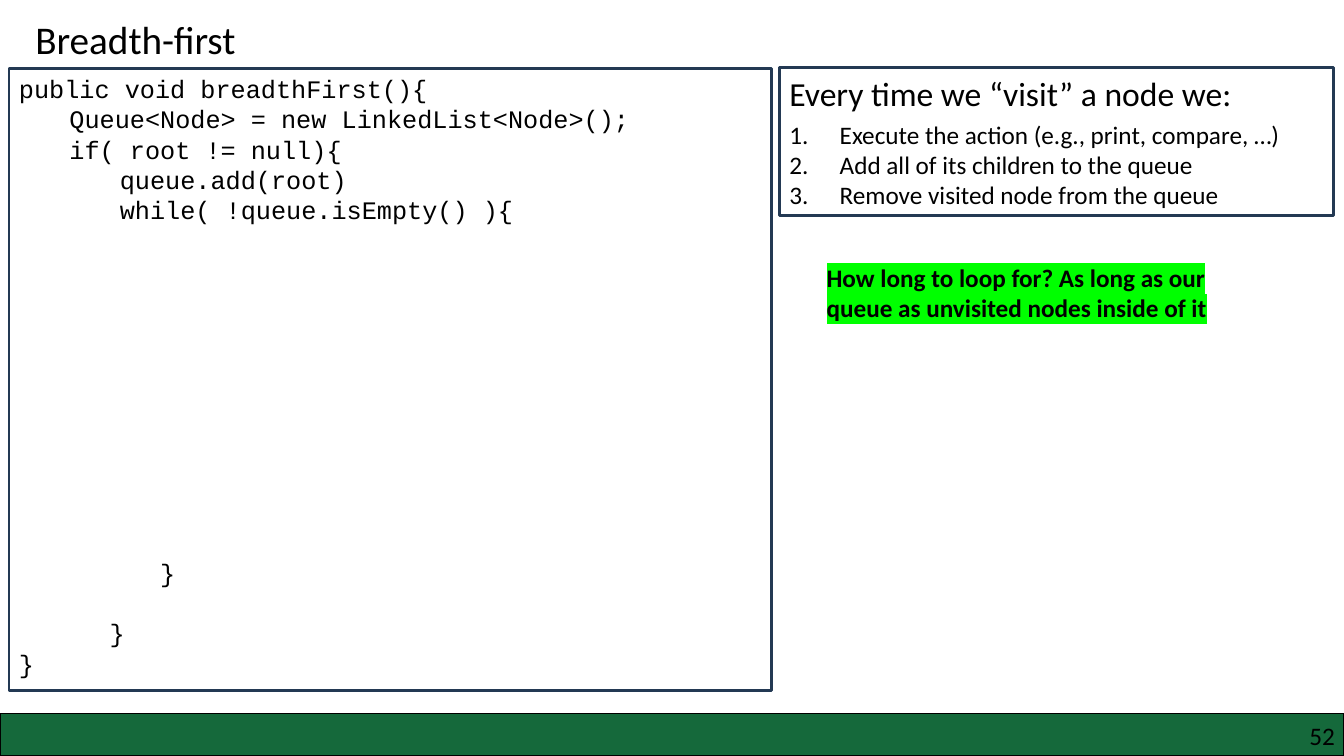
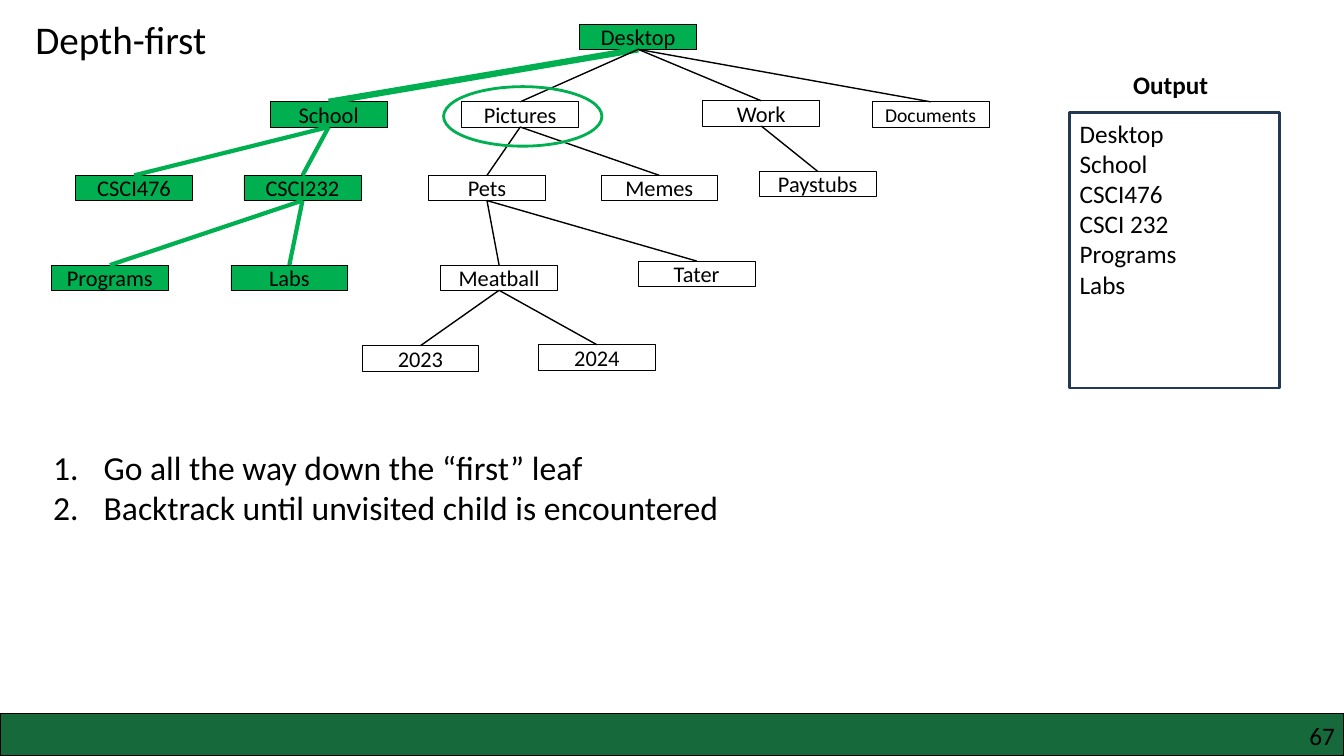
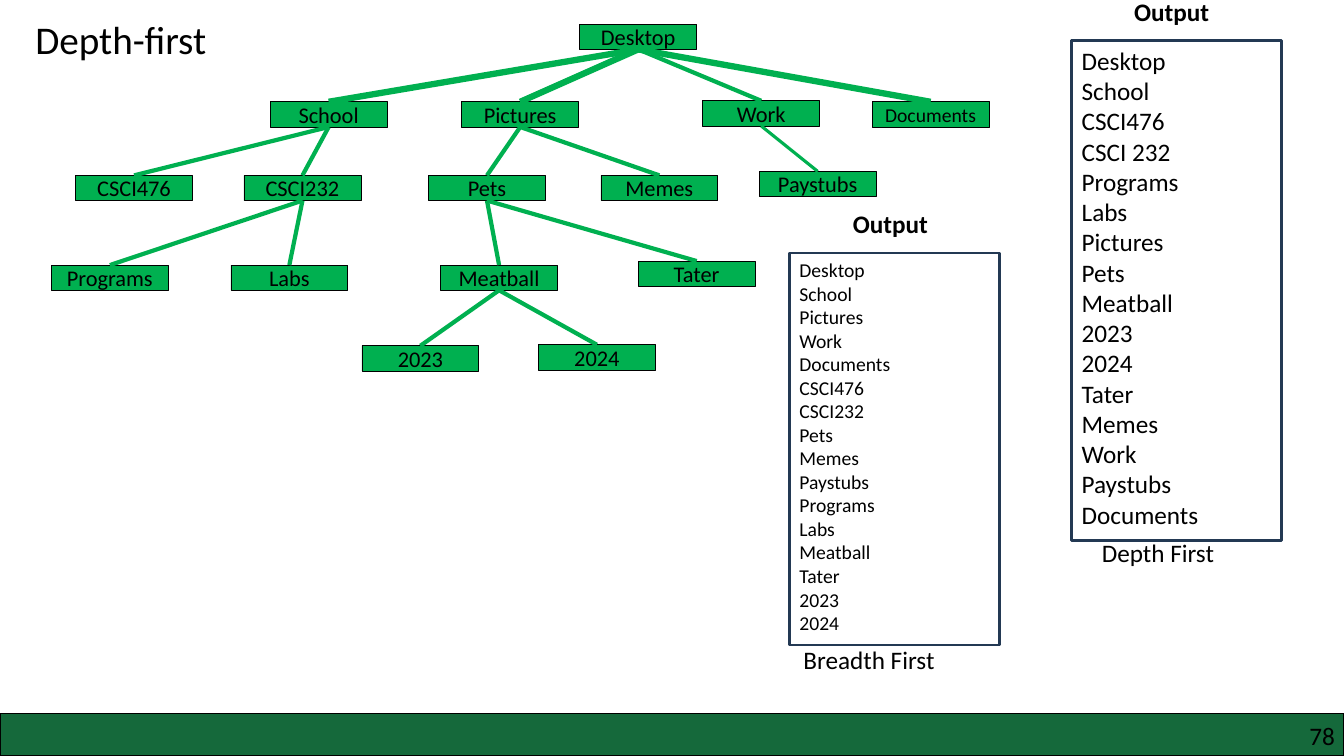
from dataclasses import dataclass

from lxml.etree import SubElement
from pptx import Presentation
from pptx.dml.color import RGBColor
from pptx.enum.shapes import MSO_CONNECTOR as Connector, MSO_SHAPE as Shape
from pptx.enum.text import MSO_ANCHOR as Anchor, MSO_AUTO_SIZE as AutoSize, PP_ALIGN as Align
from pptx.oxml.ns import qn
from pptx.util import Emu, Pt

EMU_PER_PX = 9144  # 100 px to the inch
SLIDE_WIDTH, SLIDE_HEIGHT = 1333, 750
TITLE_ONLY = 5


@dataclass(frozen=True)
class Theme:
    black: str = "000000"
    white: str = "FFFFFF"
    band: str = "15693B"
    visited: str = "00B050"
    frame: str = "233953"
    highlight: str = "00FF00"
    text_font: str = "Calibri"
    code_font: str = "Courier New"
    title: int = 28
    heading: int = 24
    body: int = 18
    node: int = 16
    small: int = 14
    line_height: float = 1.2


def px(length):
    return Emu(length * EMU_PER_PX)


def rgb(value):
    return RGBColor.from_string(value)


class Deck:
    """Holds the theme and the slide being built."""

    def __init__(self, theme):
        self.theme = theme
        self.presentation = Presentation()
        self.presentation.slide_width = px(SLIDE_WIDTH)
        self.presentation.slide_height = px(SLIDE_HEIGHT)
        self.slide = None

    # Slide frame: title, footer band and page number
    def new_slide(self, title, number):
        layout = self.presentation.slide_layouts[TITLE_ONLY]
        self.slide = self.presentation.slides.add_slide(layout)
        placeholder = self.slide.shapes.title
        placeholder.left, placeholder.top = px(25), px(10)
        placeholder.width, placeholder.height = px(234), px(57)
        self.fill_text(placeholder, [title], self.theme.title)
        self.shape(Shape.RECTANGLE, (0, 708, SLIDE_WIDTH, 42),
                   self.theme.band, self.theme.black, 1)
        self.text((1017, 715, 307, 30), [str(number)], align=Align.RIGHT, margin=0)

    # Text, run by run
    def fill_text(self, shape, lines, size, font=None, align=Align.LEFT,
                  anchor=Anchor.TOP, bold=False, highlight=None, numbered=False,
                  margin=None):
        frame = shape.text_frame
        frame.word_wrap = True
        frame.auto_size = AutoSize.NONE
        frame.vertical_anchor = anchor
        if margin is not None:
            frame.margin_left = frame.margin_right = px(margin)
            frame.margin_top = frame.margin_bottom = px(margin)
        line_height = size * self.theme.line_height
        paragraph, skipped = None, 0
        for line in lines:
            if not line:
                skipped += 1
                continue
            paragraph = frame.paragraphs[0] if paragraph is None else frame.add_paragraph()
            paragraph.alignment = align
            paragraph.line_spacing = Pt(line_height)
            if skipped:
                paragraph.space_before = Pt(skipped * line_height)
                skipped = 0
            if numbered:
                self.number(paragraph)
            run = paragraph.add_run()
            run.text = line
            run.font.size = Pt(size)
            run.font.bold = bold
            run.font.color.rgb = rgb(self.theme.black)
            if highlight:
                mark = SubElement(run.font._element, qn("a:highlight"))
                SubElement(mark, qn("a:srgbClr"), val=highlight)
            run.font.name = font or self.theme.text_font

    def number(self, paragraph):
        properties = paragraph._p.get_or_add_pPr()
        properties.set("marL", str(px(50)))
        properties.set("indent", str(px(-50)))
        SubElement(properties, qn("a:buFont"), typeface="+mj-lt")
        SubElement(properties, qn("a:buAutoNum"), type="arabicPeriod")

    def text(self, box, lines, size=None, **style):
        shape = self.slide.shapes.add_textbox(*map(px, box))
        self.fill_text(shape, lines, size or self.theme.body, **style)

    # Shapes
    def shape(self, kind, box, fill, line, weight):
        shape = self.slide.shapes.add_shape(kind, *map(px, box))
        shape.shadow.inherit = False
        if fill:
            shape.fill.solid()
            shape.fill.fore_color.rgb = rgb(fill)
        else:
            shape.fill.background()
        shape.line.color.rgb = rgb(line)
        shape.line.width = Pt(weight)
        return shape

    def panel(self, box, lines=(), size=None, font=None):
        shape = self.shape(Shape.RECTANGLE, box, None, self.theme.frame, 2)
        self.fill_text(shape, lines, size or self.theme.body, font=font)

    def output(self, box, lines, label_at, size=None):
        self.panel(box, lines, size)
        self.text((*label_at, 103, 40), ["Output"], bold=True)

    # Tree: boxes first, then the edges glued to them
    def tree(self, nodes, visited):
        theme, boxes = self.theme, {}
        for name, (_, left, top, _) in nodes.items():
            fill = theme.visited if name in visited else theme.white
            box = self.shape(Shape.RECTANGLE, (left, top, 116, 25),
                             fill, theme.black, 0.5)
            size = theme.small if name == "Documents" else theme.node
            self.fill_text(box, [name], size, align=Align.CENTER, anchor=Anchor.MIDDLE)
            boxes[name] = box
        for name, (parent, _, _, weight) in nodes.items():
            if parent:
                self.edge(boxes[parent], boxes[name], name in visited, weight)

    def edge(self, parent, child, visited, weight):
        line = self.slide.shapes.add_connector(Connector.STRAIGHT, 0, 0, 0, 0)
        line.begin_connect(parent, 2)
        line.end_connect(child, 0)
        line.line.color.rgb = rgb(self.theme.visited if visited else self.theme.black)
        line.line.width = Pt(weight if visited else 1)
        SubElement(line._element.spPr, qn("a:effectLst"))


# Node: parent, left, top, weight of the edge once visited
NODES = {
    "Desktop": (None, 575, 24, 0),
    "School": ("Desktop", 268, 101, 4.5),
    "Pictures": ("Desktop", 458, 101, 4.5),
    "Work": ("Desktop", 697, 100, 3),
    "Documents": ("Desktop", 865, 101, 4.5),
    "CSCI476": ("School", 75, 174, 3),
    "CSCI232": ("School", 242, 174, 3),
    "Pets": ("Pictures", 425, 174, 3),
    "Memes": ("Pictures", 596, 174, 3),
    "Paystubs": ("Work", 753, 170, 2.25),
    "Programs": ("CSCI232", 51, 263, 3),
    "Labs": ("CSCI232", 229, 263, 3),
    "Meatball": ("Pets", 437, 263, 3),
    "Tater": ("Pets", 633, 259, 3),
    "2023": ("Meatball", 359, 343, 3),
    "2024": ("Meatball", 534, 342, 3),
}
FIRST_BRANCH = ["Desktop", "School", "CSCI476", "CSCI 232", "Programs", "Labs"]
DEPTH_ORDER = FIRST_BRANCH + ["Pictures", "Pets", "Meatball", "2023", "2024",
                              "Tater", "Memes", "Work", "Paystubs", "Documents"]
CODE = [
    "public void breadthFirst(){",
    "\tQueue<Node> = new LinkedList<Node>();",
    "\tif( root != null){",
    "\t\tqueue.add(root)",
    "\t\twhile( !queue.isEmpty() ){",
    *[""] * 11,
    "\t      }",
    "",
    "      }",
    "}",
]


def breadth_first_code(deck):
    theme = deck.theme
    deck.new_slide("Breadth-first", 52)
    deck.text((773, 67, 495, 50), ["Every time we “visit” a node we:"], theme.heading)
    deck.text((773, 113, 559, 101), [
        "Execute the action (e.g., print, compare, …)",
        "Add all of its children to the queue",
        "Remove visited node from the queue",
    ], numbered=True)
    deck.panel((773, 67, 550, 147))
    deck.panel((9, 68, 756, 617), CODE, font=theme.code_font)
    deck.text((810, 255, 462, 71),
              ["How long to loop for? As long as our queue as unvisited nodes inside of it"],
              bold=True, highlight=theme.highlight)


def depth_first_step(deck):
    theme = deck.theme
    deck.new_slide("Depth-first", 67)
    deck.tree(NODES, {name.replace(" ", "") for name in FIRST_BRANCH})
    deck.output((1061, 112, 208, 273), FIRST_BRANCH, (1114, 64))
    deck.text((43, 438, 750, 91), [
        "Go all the way down the “first” leaf",
        "Backtrack until unvisited child is encountered",
    ], theme.heading, numbered=True)
    # Next child to visit
    deck.shape(Shape.OVAL, (440, 86, 157, 59), None, theme.visited, 2)


def both_orders(deck):
    deck.new_slide("Depth-first", 78)
    deck.tree(NODES, set(NODES))
    deck.output((1063, 40, 208, 496), DEPTH_ORDER, (1115, -9))
    deck.output((783, 251, 208, 389), list(NODES), (836, 202), deck.theme.small)
    deck.text((787, 634, 165, 40), ["Breadth First"])
    deck.text((1083, 528, 144, 40), ["Depth First"])


def main():
    deck = Deck(Theme())
    breadth_first_code(deck)
    depth_first_step(deck)
    both_orders(deck)
    deck.presentation.save("out.pptx")


if __name__ == "__main__":
    main()
